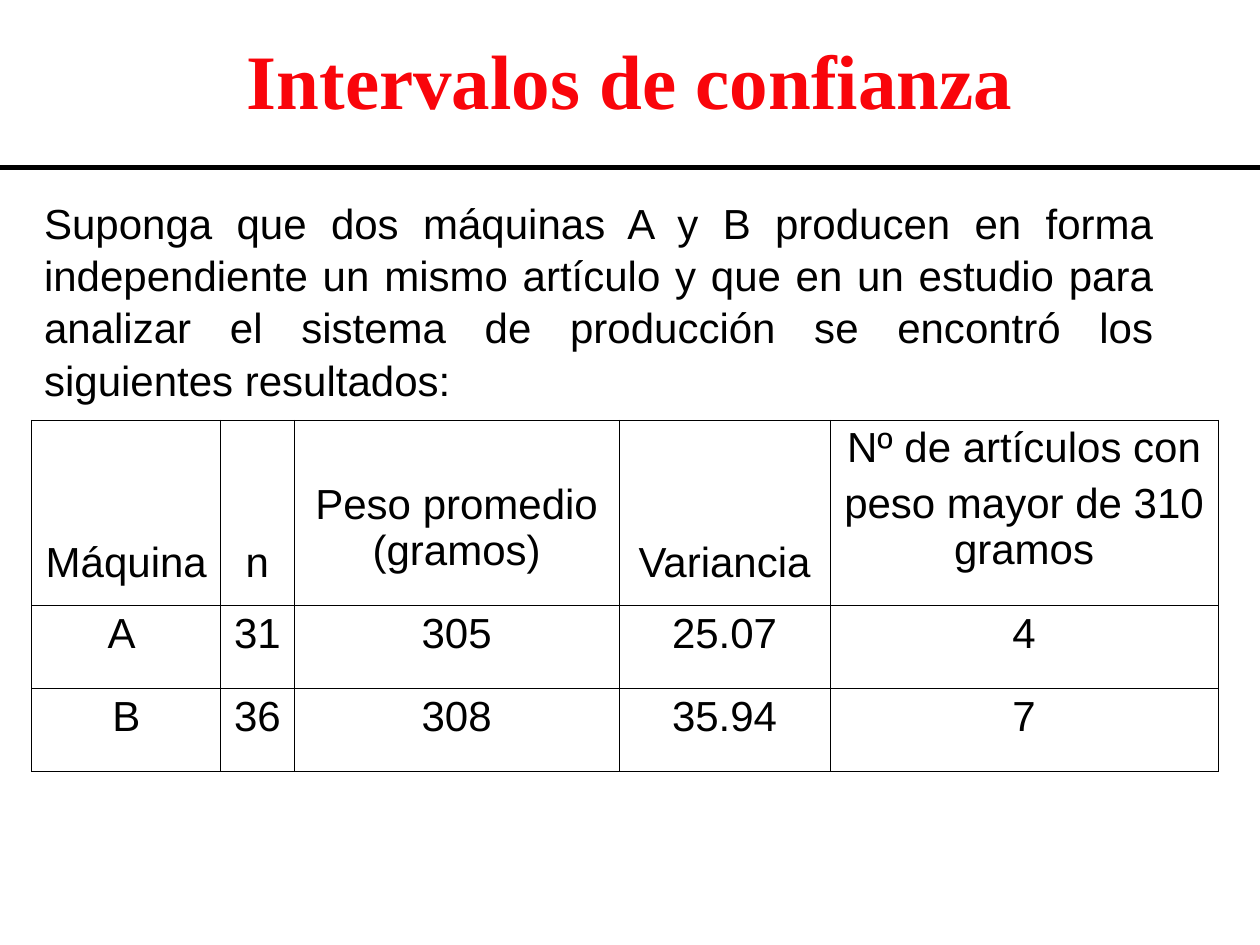
from lxml.etree import SubElement
from pptx import Presentation
from pptx.dml.color import RGBColor
from pptx.enum.shapes import MSO_CONNECTOR
from pptx.enum.text import MSO_ANCHOR, PP_ALIGN
from pptx.oxml.ns import qn
from pptx.util import Cm, Pt

RED = RGBColor(0xF9, 0x05, 0x0B)
BLACK = RGBColor(0, 0, 0)
WHITE = RGBColor(255, 255, 255)

TITLE_FONT = {"name": "Times New Roman", "size": Pt(44), "bold": True}
BODY_FONT = {"name": "Arial", "size": Pt(24), "bold": False}
BODY_PARAGRAPH = {"alignment": PP_ALIGN.JUSTIFY, "line_spacing": 1.04}
CELL_PARAGRAPH = {"alignment": PP_ALIGN.CENTER, "line_spacing": 0.97}

QUESTION = (
    "Suponga que dos máquinas A y B producen en forma independiente un mismo "
    "artículo y que en un estudio para analizar el sistema de producción se "
    "encontró los siguientes resultados: "
)
RESULTS = [
    ["Máquina", "n", "Peso promedio (gramos)", "Variancia",
     "Nº de artículos con \npeso mayor de 310 gramos"],
    ["A ", "31", "305", "25.07", "4"],
    ["B", "36", "308", "35.94", "7"],
]
HEADER_DROPS = [2.3, 2.3, 1.15, 2.3, 0]
COLUMN_SHARES = [1.5, 0.58, 2.58, 1.67, 3.08]
ROW_SHARES = [1.47, 0.66, 0.66]


def apply_format(target, values):
    """Set each named attribute of the target."""
    for name, value in values.items():
        setattr(target, name, value)


def write_text(frame, text, paragraph_format, font_format, color):
    """Fill a text frame with one formatted paragraph per line of text."""
    frame.text = text
    frame.word_wrap = True
    for index, paragraph in enumerate(frame.paragraphs):
        apply_format(paragraph, paragraph_format)
        paragraph.space_before = Pt(6 if index else 0)
        apply_format(paragraph.font, font_format)
        paragraph.font.color.rgb = color


def add_heading(slide, left, top, width, height):
    """Place the title and the full-width rule at the foot of the box."""
    title = slide.shapes.title
    apply_format(title, {"left": left + Cm(1.9), "top": top,
                         "width": width - Cm(3.8), "height": height - Cm(0.2)})
    write_text(title.text_frame, "Intervalos de confianza",
               {"alignment": PP_ALIGN.CENTER}, TITLE_FONT, RED)
    title.text_frame.vertical_anchor = MSO_ANCHOR.MIDDLE
    rule = slide.shapes.add_connector(
        MSO_CONNECTOR.STRAIGHT, left, top + height, left + width, top + height)
    rule.line.color.rgb = BLACK
    rule.line.width = Pt(3)
    SubElement(rule._element.spPr, qn("a:effectLst"))


def add_question(slide, left, top, width, height):
    """Place the justified statement of the problem."""
    question = slide.shapes.add_textbox(left, top, width, height)
    write_text(question.text_frame, QUESTION, BODY_PARAGRAPH, BODY_FONT, BLACK)


def add_borders(cell):
    """Draw a thin black line on all four sides of a cell."""
    properties = cell._tc.get_or_add_tcPr()
    for index, side in enumerate(("lnL", "lnR", "lnT", "lnB")):
        border = SubElement(properties, qn(f"a:{side}"), w=str(Pt(0.45)))
        properties.insert(index, border)
        fill = SubElement(border, qn("a:solidFill"))
        SubElement(fill, qn("a:srgbClr"), val=str(BLACK))


def add_results(slide, left, top, width, height):
    """Place the results table, sharing out the box among rows and columns."""
    table = slide.shapes.add_table(
        len(RESULTS), len(COLUMN_SHARES), left, top, width, height).table
    apply_format(table, {"first_row": False, "horz_banding": False})
    for column, share in zip(table.columns, COLUMN_SHARES):
        column.width = int(width * share / sum(COLUMN_SHARES))
    for row, share in zip(table.rows, ROW_SHARES):
        row.height = int(height * share / sum(ROW_SHARES))
    for row_index, values in enumerate(RESULTS):
        for column_index, value in enumerate(values):
            cell = table.cell(row_index, column_index)
            drop = 0 if row_index else HEADER_DROPS[column_index]
            cell.margin_top = Cm(0.13 + drop)
            cell.fill.solid()
            cell.fill.fore_color.rgb = WHITE
            add_borders(cell)
            write_text(cell.text_frame, value, CELL_PARAGRAPH, BODY_FONT, BLACK)


def main():
    """Build the slide and save it."""
    deck = Presentation()
    apply_format(deck, {"slide_width": Cm(25.4), "slide_height": Cm(19.05)})
    slide = deck.slides.add_slide(deck.slide_layouts[5])
    add_heading(slide, Cm(0), Cm(0), deck.slide_width, Cm(3.38))
    add_question(slide, Cm(0.64), Cm(3.81), Cm(22.86), Cm(4.32))
    add_results(slide, Cm(0.64), Cm(8.47), Cm(23.92), Cm(7.09))
    deck.save("out.pptx")


if __name__ == "__main__":
    main()
